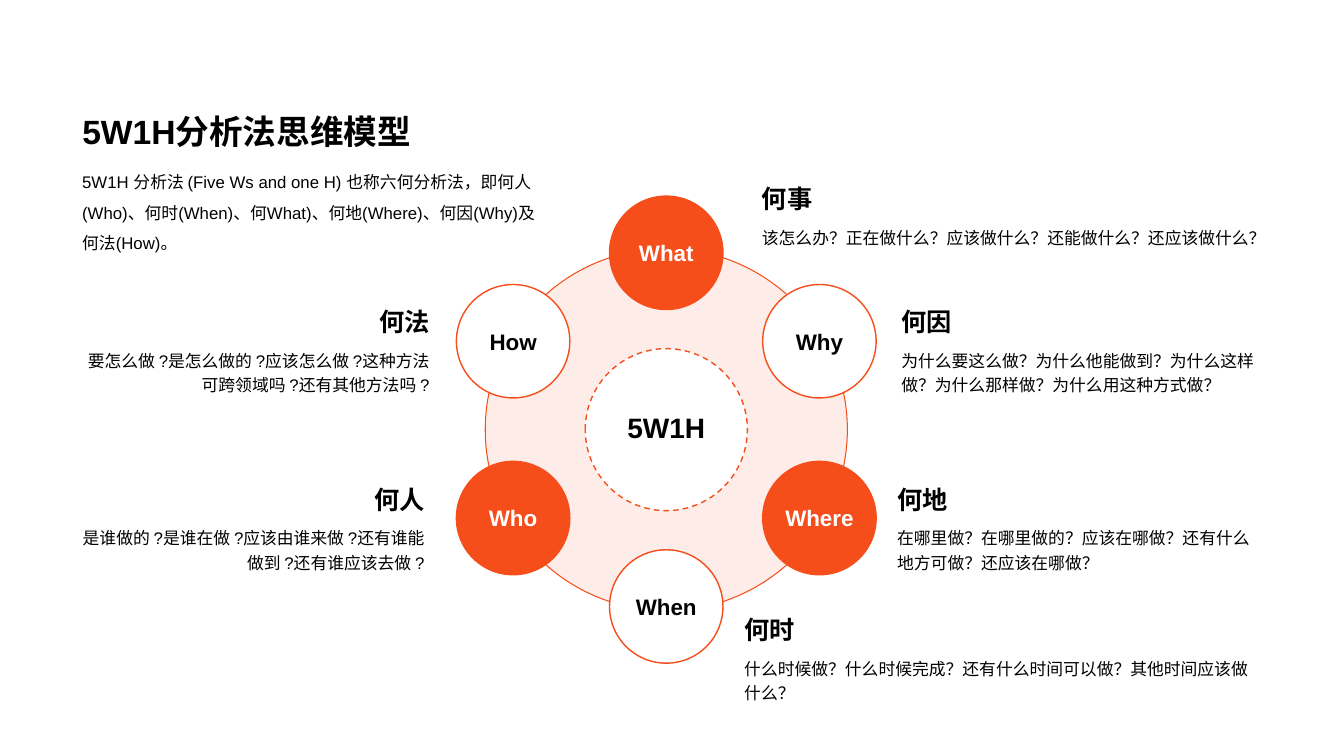
from dataclasses import dataclass
from math import cos, radians, sin

from lxml.etree import SubElement
from pptx import Presentation
from pptx.dml.color import RGBColor
from pptx.enum.dml import MSO_LINE
from pptx.enum.lang import MSO_LANGUAGE_ID
from pptx.enum.shapes import MSO_SHAPE
from pptx.enum.text import MSO_ANCHOR, PP_ALIGN
from pptx.oxml.ns import qn
from pptx.shapes.autoshape import Shape
from pptx.slide import Slide
from pptx.util import Inches, Pt

ORANGE = RGBColor(0xF5, 0x4E, 0x1A)
WHITE = RGBColor(0xFF, 0xFF, 0xFF)
BLACK = RGBColor(0x00, 0x00, 0x00)
FONT = "Arial"

# The slide is a grid of 160 columns by 90 rows of square cells.
SLIDE_WIDTH, SLIDE_HEIGHT = Inches(13.33), Inches(7.5)
CELL = SLIDE_HEIGHT / 90

CENTER_COLUMN, CENTER_ROW = 79.3, 51.15
RING_DIAMETER, HUB_DIAMETER, PETAL_DIAMETER = 43.1, 19.3, 13.5
ORBIT_RADIUS = 21.05
HEADING_ROWS, BODY_ROWS = 4.6, 7.7
TEXT_COLUMN, TEXT_COLUMNS = 8.6, 57.1


@dataclass(frozen=True)
class Question:
    """One of the six questions: its petal and its explanation."""

    label: str
    heading: str
    body: str
    column: float
    row: float
    columns: float = 44.4
    align: PP_ALIGN = PP_ALIGN.LEFT


# Clockwise from the top of the ring.
QUESTIONS = [
    Question("What", "何事", "该怎么办?正在做什么?应该做什么?还能做什么?还应该做什么?".replace("?", "？"),
             89.5, 21.4, 63),
    Question("Why", "何因", "为什么要这么做？为什么他能做到？为什么这样做？为什么那样做？为什么用这种方式做？",
             106.1, 36.1),
    Question("Where", "何地", "在哪里做？在哪里做的？应该在哪做？还有什么地方可做？还应该在哪做？",
             105.6, 57.2),
    Question("When", "何时", "什么时候做？什么时候完成？还有什么时间可以做？其他时间应该做什么？",
             87.4, 72.7, 63.1),
    Question("Who", "何人", "是谁做的 ?是谁在做 ?应该由谁来做 ?还有谁能做到 ?还有谁应该去做 ?",
             7.3, 57.2, align=PP_ALIGN.RIGHT),
    Question("How", "何法", "要怎么做 ?是怎么做的 ?应该怎么做 ?这种方法可跨领域吗 ?还有其他方法吗 ?",
             7.9, 36.1, align=PP_ALIGN.RIGHT),
]
TITLE = "5W1H分析法思维模型"
INTRODUCTION = ("5W1H 分析法 (Five Ws and one H) 也称六何分析法，即何人 (Who)、何时(When)、"
                "何What)、何地(Where)、何因(Why)及何法(How)。")


def cells(count: float) -> int:
    """Convert a number of grid cells to a length."""
    return round(count * CELL)


def write(shape: Shape, text: str, size: float, color: RGBColor = BLACK,
          bold: bool = False, align: PP_ALIGN = PP_ALIGN.LEFT,
          anchor: MSO_ANCHOR = MSO_ANCHOR.TOP, spacing: float = 1.0) -> None:
    """Put one formatted paragraph into a shape."""
    frame = shape.text_frame
    frame.text = text
    frame.word_wrap = True
    frame.vertical_anchor = anchor
    paragraph = frame.paragraphs[0]
    paragraph.alignment = align
    paragraph.line_spacing = spacing
    for run in paragraph.runs:
        run.font.name = FONT
        run.font.size = Pt(size)
        run.font.bold = bold
        run.font.color.rgb = color
        run.font.language_id = MSO_LANGUAGE_ID.SIMPLIFIED_CHINESE


def add_text(slide: Slide, text: str, column: float, row: float, columns: float,
             rows: float, size: float, **style) -> None:
    """Add a text box placed on the grid."""
    box = slide.shapes.add_textbox(cells(column), cells(row), cells(columns), cells(rows))
    write(box, text, size, **style)


def add_circle(slide: Slide, column: float, row: float, diameter: float,
               fill: RGBColor, line_width: float = 1) -> Shape:
    """Add an orange-edged circle around a grid point."""
    circle = slide.shapes.add_shape(
        MSO_SHAPE.OVAL, cells(column - diameter / 2), cells(row - diameter / 2),
        cells(diameter), cells(diameter))
    circle.shadow.inherit = False
    circle.fill.solid()
    circle.fill.fore_color.rgb = fill
    circle.line.color.rgb = ORANGE
    circle.line.width = Pt(line_width)
    frame = circle.text_frame
    frame.margin_left = frame.margin_right = frame.margin_top = frame.margin_bottom = 0
    return circle


def add_wheel(slide: Slide) -> None:
    """Draw the pale ring, the dashed hub and the six petals."""
    ring = add_circle(slide, CENTER_COLUMN, CENTER_ROW, RING_DIAMETER, ORANGE, 0.75)
    fill_color = ring.fill._xPr.find(qn("a:solidFill"))[0]
    SubElement(fill_color, qn("a:alpha"), val="10000")

    hub = add_circle(slide, CENTER_COLUMN, CENTER_ROW, HUB_DIAMETER, WHITE)
    hub.line.dash_style = MSO_LINE.DASH
    write(hub, "5W1H", 20, bold=True, align=PP_ALIGN.CENTER,
          anchor=MSO_ANCHOR.MIDDLE, spacing=0.9)

    for index, question in enumerate(QUESTIONS):
        angle = radians(index * 360 / len(QUESTIONS))
        fill, color = (WHITE, BLACK) if index % 2 else (ORANGE, WHITE)
        petal = add_circle(slide, CENTER_COLUMN + ORBIT_RADIUS * sin(angle),
                           CENTER_ROW - ORBIT_RADIUS * cos(angle), PETAL_DIAMETER, fill)
        write(petal, question.label, 16, color, True, PP_ALIGN.CENTER, MSO_ANCHOR.MIDDLE)


def add_explanation(slide: Slide, question: Question) -> None:
    """Add the heading of a question and the text below it."""
    add_text(slide, question.heading, question.column, question.row, question.columns,
             HEADING_ROWS, 18, bold=True, align=question.align, anchor=MSO_ANCHOR.BOTTOM)
    add_text(slide, question.body, question.column, question.row + HEADING_ROWS,
             question.columns, BODY_ROWS, 12, align=question.align, spacing=1.2)


def add_introduction(slide: Slide) -> None:
    """Place the title and the introduction under it."""
    title = slide.shapes.title
    title.left, title.top = cells(TEXT_COLUMN), cells(12.6)
    title.width, title.height = cells(TEXT_COLUMNS), cells(6)
    write(title, TITLE, 24, bold=True, anchor=MSO_ANCHOR.BOTTOM)
    add_text(slide, INTRODUCTION, TEXT_COLUMN, 18.7, TEXT_COLUMNS, 11.6, 12, spacing=1.5)


def main() -> None:
    """Build and save the slide."""
    presentation = Presentation()
    presentation.slide_width, presentation.slide_height = SLIDE_WIDTH, SLIDE_HEIGHT
    slide = presentation.slides.add_slide(presentation.slide_layouts[5])
    add_wheel(slide)
    for question in QUESTIONS:
        add_explanation(slide, question)
    add_introduction(slide)
    presentation.save("out.pptx")


main()
